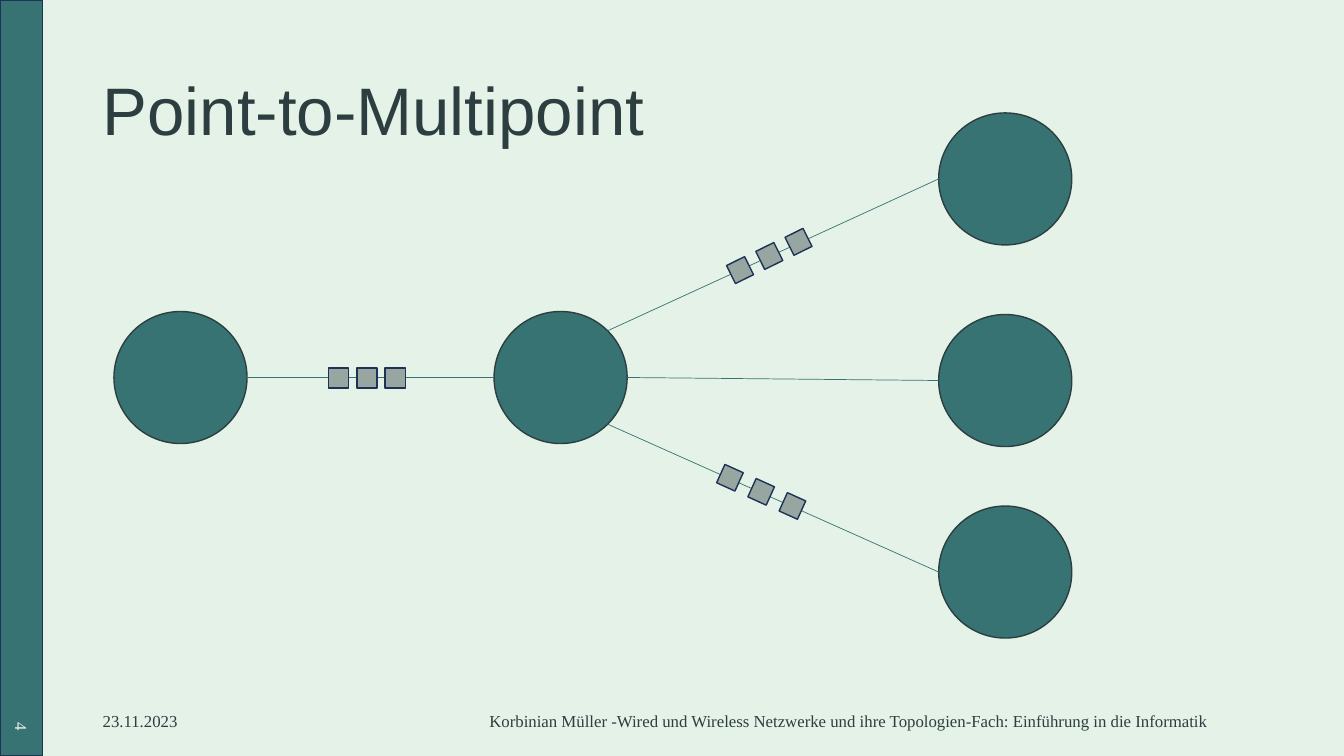
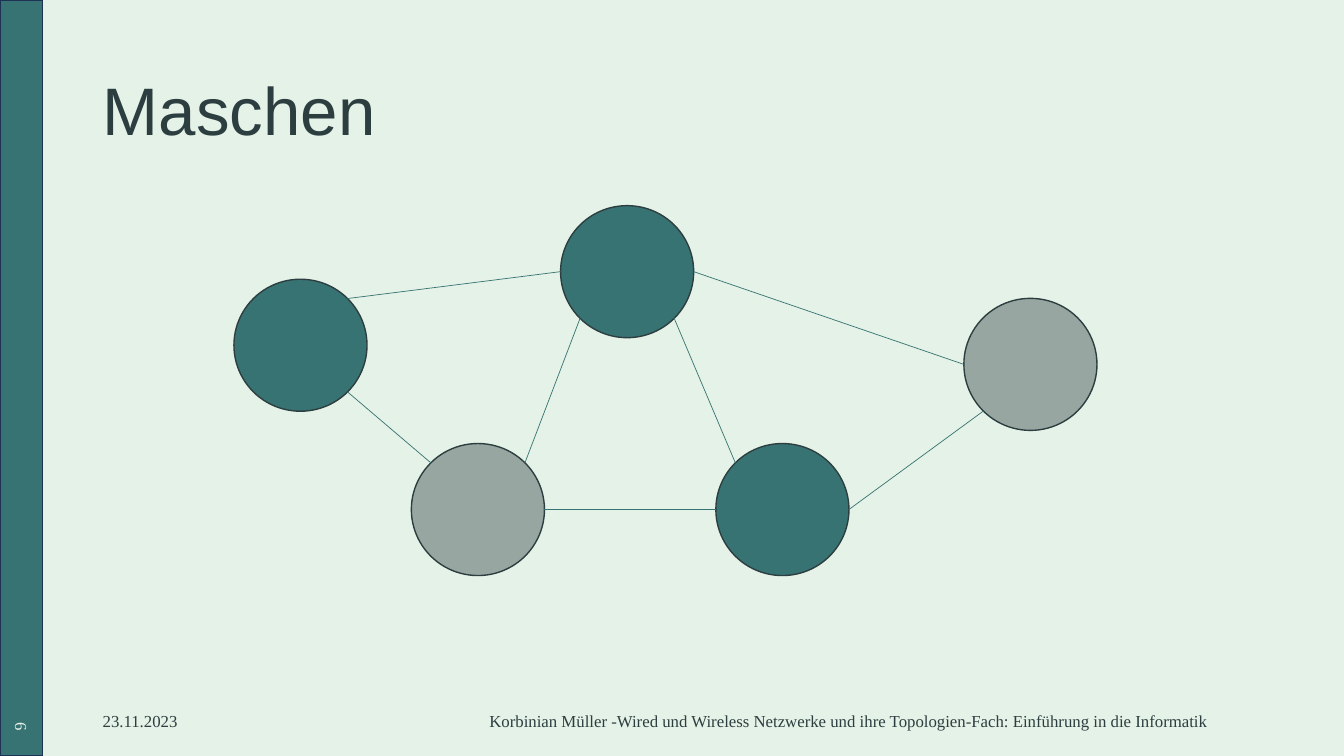
"""Build two slides on network topologies with shared band, title and footers."""
import math

import pptx
import pptx.dml.color
import pptx.enum.shapes
import pptx.enum.text
import pptx.oxml.ns
import pptx.util
from lxml import etree

Inches = pptx.util.Inches
Pt = pptx.util.Pt
MSO_SHAPE = pptx.enum.shapes.MSO_SHAPE
ALIGN = pptx.enum.text.PP_ALIGN
MIDDLE = pptx.enum.text.MSO_ANCHOR.MIDDLE
qn = pptx.oxml.ns.qn

MINT, TEAL, GREY, INK, NAVY = "E4F2E7", "387373", "97A6A0", "2D3E40", "1E3256"
TITLE_FONT, FOOTER_FONT = "Arial", "Times New Roman"
DATE = "23.11.2023"
FOOTER = ("Korbinian Müller -Wired und Wireless Netzwerke und ihre "
          "Topologien-Fach: Einführung in die Informatik")
NODE_W, NODE_H = 1.32, 1.31
PACKET = 0.2
(TOP, TOP_LEFT, LEFT, BOTTOM_LEFT,
 BOTTOM, BOTTOM_RIGHT, RIGHT, TOP_RIGHT) = range(8)


def paint(colour_format, colour):
    """Set a fill or font colour from a hex string."""
    colour_format.rgb = pptx.dml.color.RGBColor.from_string(colour)


def fill_solid(fill, colour):
    """Give a fill one solid colour."""
    fill.solid()
    paint(fill.fore_color, colour)


def set_text(tf, text, size, font, colour, align=ALIGN.LEFT):
    """Write one formatted paragraph, centred vertically."""
    tf.word_wrap = True
    tf.vertical_anchor = MIDDLE
    p = tf.paragraphs[0]
    p.alignment = align
    r = p.add_run()
    r.text = text
    r.font.size = Pt(size)
    r.font.name = font
    paint(r.font.color, colour)
    return p


def add_block(s, kind, x, y, w, h, fill, line):
    """Add a filled shape with a one-point outline."""
    sp = s.shapes.add_shape(kind, Inches(x), Inches(y), Inches(w), Inches(h))
    sp.shadow.inherit = False
    fill_solid(sp.fill, fill)
    paint(sp.line.color, line)
    sp.line.width = Pt(1)
    return sp


def add_label(s, x, w, text, colour=INK, align=ALIGN.LEFT, y=6.95):
    """Add a footer text box."""
    sp = s.shapes.add_textbox(Inches(x), Inches(y), Inches(w), Inches(0.4))
    set_text(sp.text_frame, text, 12, FOOTER_FONT, colour, align)
    return sp


def style_layout(layout):
    """Set the background and title position, and drop unused placeholders."""
    fill_solid(layout.background.fill, MINT)
    title = layout.placeholders[0]
    for sp in list(layout.placeholders)[1:]:
        layout.shapes.element.remove(sp.element)
    title.left, title.top = Inches(0.92), Inches(0.4)
    title.width, title.height = Inches(11.5), Inches(1.45)


def add_band(s, layout):
    """Draw the side band and hand it to the layout."""
    band = add_block(s, MSO_SHAPE.RECTANGLE, 0, 0, 0.42, 7.5, TEAL, NAVY)
    layout.shapes.element.append(band.element)


def add_slide(prs, layout, title, number):
    """Add a slide with its title and footers."""
    s = prs.slides.add_slide(layout)
    sp = s.shapes.title
    fill_solid(sp.fill, MINT)
    p = set_text(sp.text_frame, title, 48, TITLE_FONT, INK)
    p.line_spacing = 0.9
    add_label(s, 0.92, 3, DATE)
    add_label(s, 4.42, 8, FOOTER, align=ALIGN.CENTER)
    page = add_label(s, -0.18, 0.79, number, MINT, ALIGN.RIGHT, y=6.75)
    page.rotation = 90
    return s


def add_node(s, x, y, fill=TEAL):
    """Add a round network node."""
    return add_block(s, MSO_SHAPE.OVAL, x, y, NODE_W, NODE_H, fill, INK)


def site_point(node, site):
    """Return the place of a connection site, counted from the top leftwards."""
    angle = math.radians(90 + 45 * site)
    x = node.left + node.width / 2 * (1 + math.cos(angle))
    y = node.top + node.height / 2 * (1 - math.sin(angle))
    return round(x), round(y)


def add_link(s, start, start_site, end, end_site):
    """Join two nodes with a thin line glued to their connection sites."""
    line = s.shapes.add_connector(
        pptx.enum.shapes.MSO_CONNECTOR.STRAIGHT,
        *site_point(start, start_site), *site_point(end, end_site))
    paint(line.line.color, TEAL)
    line.line.width = Pt(0.5)
    etree.SubElement(line.element.spPr, qn("a:effectLst"))
    glue = line.element.nvCxnSpPr.cNvCxnSpPr
    for tag, node, site in (("a:stCxn", start, start_site),
                            ("a:endCxn", end, end_site)):
        etree.SubElement(glue, qn(tag), id=str(node.shape_id), idx=str(site))


def add_packets(s, x, y, dx, dy, angle):
    """Add three data packets in an evenly spaced row."""
    for i in range(3):
        sp = add_block(s, MSO_SHAPE.RECTANGLE, x + i * dx, y + i * dy,
                       PACKET, PACKET, GREY, NAVY)
        sp.rotation = angle


def draw_multipoint(s):
    """Draw one sender reaching several receivers through a hub."""
    sender, hub = add_node(s, 1.13, 3.09), add_node(s, 4.9, 3.09)
    upper, middle, lower = [add_node(s, 9.31, y) for y in (1.12, 3.12, 5.02)]
    add_link(s, sender, RIGHT, hub, LEFT)
    add_link(s, hub, TOP_RIGHT, upper, LEFT)
    add_link(s, hub, RIGHT, middle, LEFT)
    add_link(s, hub, BOTTOM_RIGHT, lower, LEFT)
    add_packets(s, 3.26, 3.65, 0.28, 0, 0)
    add_packets(s, 7.24, 2.58, 0.29, -0.14, 333.6)
    add_packets(s, 7.14, 4.64, 0.31, 0.14, 24.3)


def draw_mesh(s):
    """Draw five nodes joined as a mesh."""
    top = add_node(s, 5.56, 2.04)
    lower_left = add_node(s, 4.08, 4.4, GREY)
    lower_right = add_node(s, 7.1, 4.4)
    right = add_node(s, 9.56, 2.96, GREY)
    left = add_node(s, 2.32, 2.77)
    for link in (
        (lower_left, TOP_RIGHT, top, BOTTOM_LEFT),
        (top, BOTTOM_RIGHT, lower_right, TOP_LEFT),
        (lower_right, LEFT, lower_left, RIGHT),
        (lower_left, TOP_LEFT, left, BOTTOM_RIGHT),
        (top, RIGHT, right, LEFT),
        (left, TOP_RIGHT, top, LEFT),
        (lower_right, RIGHT, right, BOTTOM_LEFT),
    ):
        add_link(s, *link)


def main():
    """Build and save the presentation."""
    prs = pptx.Presentation()
    prs.slide_width, prs.slide_height = Inches(13.33), Inches(7.5)
    layout = prs.slide_layouts.get_by_name("Title Only")
    style_layout(layout)
    s = add_slide(prs, layout, "Point-to-Multipoint", "4")
    add_band(s, layout)
    draw_multipoint(s)
    draw_mesh(add_slide(prs, layout, "Maschen", "6"))
    prs.save("out.pptx")


if __name__ == "__main__":
    main()
